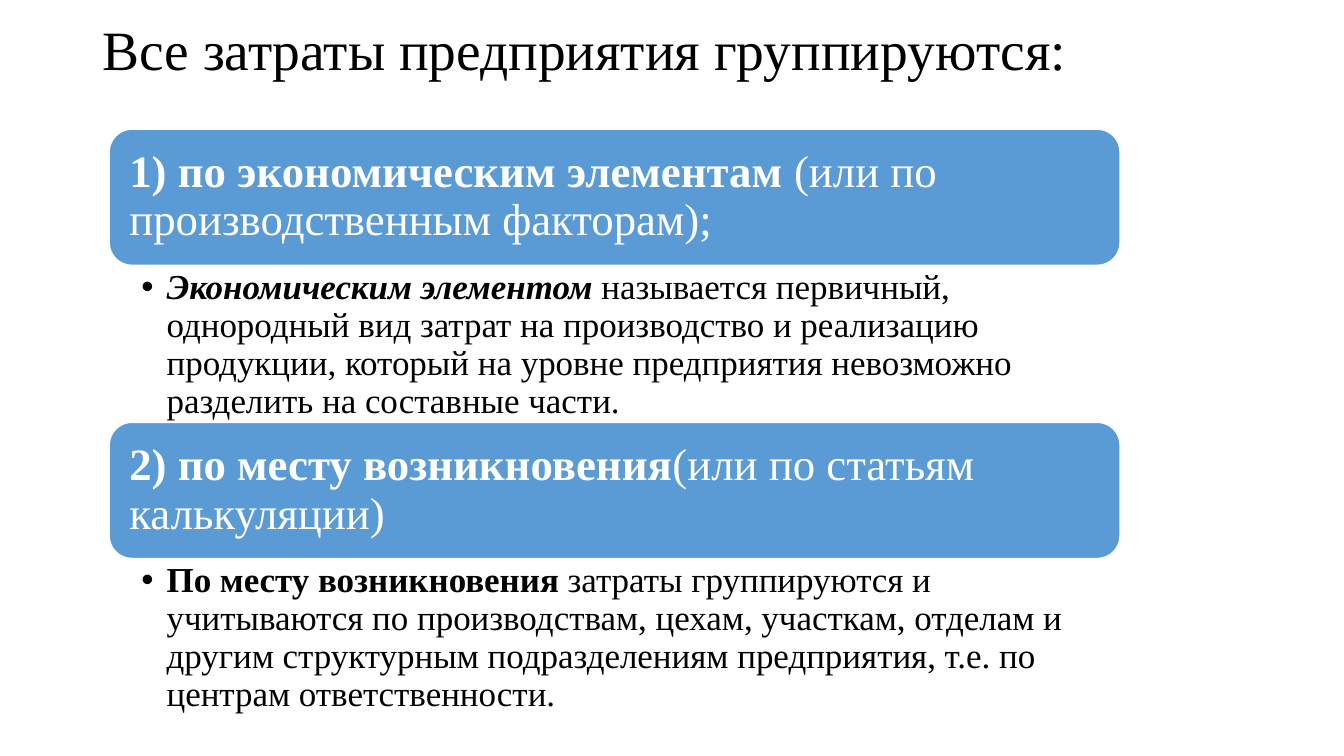
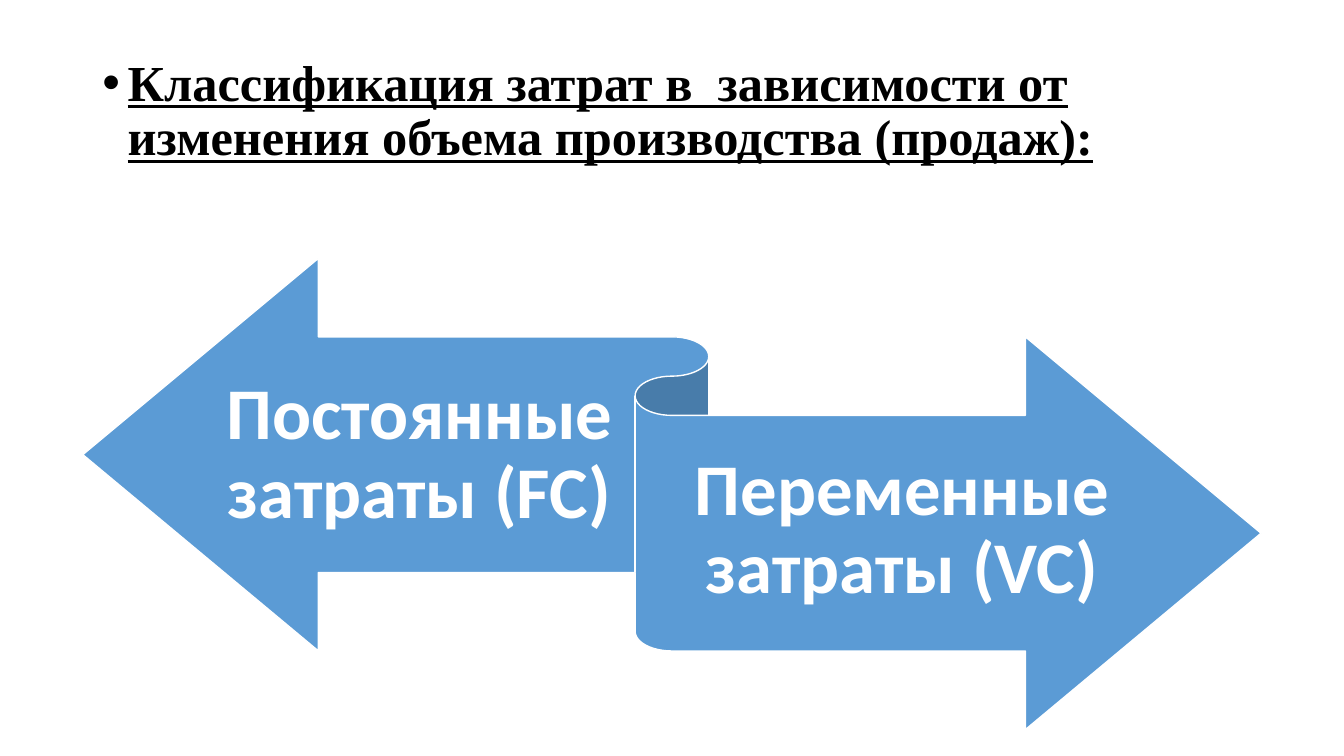
from lxml import etree
from pptx import Presentation
from pptx.dml.color import RGBColor
from pptx.enum.shapes import MSO_SHAPE as SHAPE
from pptx.enum.text import MSO_ANCHOR as ANCHOR, MSO_AUTO_SIZE as AUTO_SIZE, PP_ALIGN as ALIGN
from pptx.oxml.ns import qn
from pptx.util import Pt

BLACK, WHITE, BLUE = "000000", "FFFFFF", "5B9BD5"
SERIF, SANS = "Times New Roman", "Calibri"
TITLE_LEFT, TITLE_WIDTH = 66, 828

GROUP_LEFT, GROUP_TOP, GROUP_WIDTH = 78, 92.3, 722
BAR_HEIGHT, DETAIL_HEIGHT = 97.2, 112.2

# Each group: heading runs, then detail runs, as (text, bold, italic)
COST_GROUPS = [
    ([("1) по экономическим элементам", True, False),
      (" (или по производственным факторам);", False, False)],
     [("Экономическим элементом ", True, True),
      ("называется первичный, однородный вид затрат на производство и реализацию "
       "продукции, который на уровне предприятия невозможно разделить на составные "
       "части.", False, False)]),
    ([("2) по месту возникновения", True, False),
      ("(или по статьям калькуляции)", False, False)],
     [("По месту возникновения", True, False),
      (" затраты группируются и учитываются по производствам, цехам, участкам, "
       "отделам и другим структурным подразделениям предприятия, т.е. по центрам "
       "ответственности.", False, False)]),
]


def rgb(color):
    return RGBColor.from_string(color)


def set_frame(tf, anchor, left, top, right, bottom):
    tf.word_wrap = True
    tf.auto_size = AUTO_SIZE.NONE
    tf.vertical_anchor = anchor
    tf.margin_left, tf.margin_top = Pt(left), Pt(top)
    tf.margin_right, tf.margin_bottom = Pt(right), Pt(bottom)


def write(tf, runs, font, size, color, align=ALIGN.LEFT):
    """Fill the first paragraph with (text, bold, italic) runs."""
    p = tf.paragraphs[0]
    p.alignment = align
    p.line_spacing = 0.9
    p.font.name, p.font.size = font, Pt(size)
    p.font.color.rgb = rgb(color)
    for text, bold, italic in runs:
        r = p.add_run()
        r.text = text
        r.font.bold, r.font.italic = bold, italic
    return p


def add_bullet(p):
    pPr = p._p.get_or_add_pPr()
    pPr.set("marL", str(Pt(18)))
    pPr.set("indent", str(-Pt(18)))
    bullet_font = etree.Element(qn("a:buFont"), typeface="Arial")
    bullet = etree.Element(qn("a:buChar"), char="•")
    # Bullets must precede the default run properties
    pPr.find(qn("a:defRPr")).addprevious(bullet_font)
    bullet_font.addnext(bullet)


def add_title(s, text, top, height, size, anchor, bold=False):
    title = s.shapes.title
    title.left, title.top = Pt(TITLE_LEFT), Pt(top)
    title.width, title.height = Pt(TITLE_WIDTH), Pt(height)
    set_frame(title.text_frame, anchor, 7.2, 3.6, 7.2, 3.6)
    return write(title.text_frame, [(text, bold, False)], SERIF, size, BLACK)


def add_blue_shape(s, kind, left, top, width, height):
    sp = s.shapes.add_shape(kind, Pt(left), Pt(top), Pt(width), Pt(height))
    sp.shadow.inherit = False
    sp.fill.solid()
    sp.fill.fore_color.rgb = rgb(BLUE)
    sp.line.color.rgb = rgb(WHITE)
    sp.line.width = Pt(1)
    return sp


def add_cost_group(s, top, heading, detail):
    bar = add_blue_shape(s, SHAPE.ROUNDED_RECTANGLE, GROUP_LEFT, top, GROUP_WIDTH, BAR_HEIGHT)
    set_frame(bar.text_frame, ANCHOR.MIDDLE, 9.6, 9.6, 9.6, 9.6)
    write(bar.text_frame, heading, SERIF, 32, WHITE)

    box = s.shapes.add_textbox(Pt(GROUP_LEFT), Pt(top + BAR_HEIGHT), Pt(GROUP_WIDTH), Pt(DETAIL_HEIGHT))
    set_frame(box.text_frame, ANCHOR.TOP, 23, 3, 18, 3)
    add_bullet(write(box.text_frame, detail, SERIF, 25, BLACK))


def add_arrow_label(s, text, left, top, width):
    box = s.shapes.add_textbox(Pt(left), Pt(top), Pt(width), Pt(165))
    set_frame(box.text_frame, ANCHOR.MIDDLE, 0, 14.4, 0, 15.8)
    write(box.text_frame, [(text, True, False)], SANS, 52, WHITE, ALIGN.CENTER)


def build_grouping(s):
    add_title(s, "Все затраты предприятия группируются:", 8.5, 58, 39.6, ANCHOR.MIDDLE)
    for i, (heading, detail) in enumerate(COST_GROUPS):
        add_cost_group(s, GROUP_TOP + i * (BAR_HEIGHT + DETAIL_HEIGHT), heading, detail)


def build_classification(s):
    p = add_title(s, "Классификация затрат в  зависимости от изменения объема производства (продаж):",
                  37.5, 100, 36, ANCHOR.TOP, bold=True)
    p.font.underline = True
    add_bullet(p)
    add_blue_shape(s, SHAPE.LEFT_RIGHT_RIBBON, 59.2, 184.5, 841.6, 336.6)
    add_arrow_label(s, "Постоянные затраты (FC)", 160.6, 243.4, 278)
    add_arrow_label(s, "Переменные затраты (VC)", 480, 297.3, 328.4)


def main():
    prs = Presentation()
    prs.slide_width, prs.slide_height = Pt(960), Pt(540)
    title_only = prs.slide_layouts[5]
    for build in (build_grouping, build_classification):
        build(prs.slides.add_slide(title_only))
    prs.save("out.pptx")


if __name__ == "__main__":
    main()
